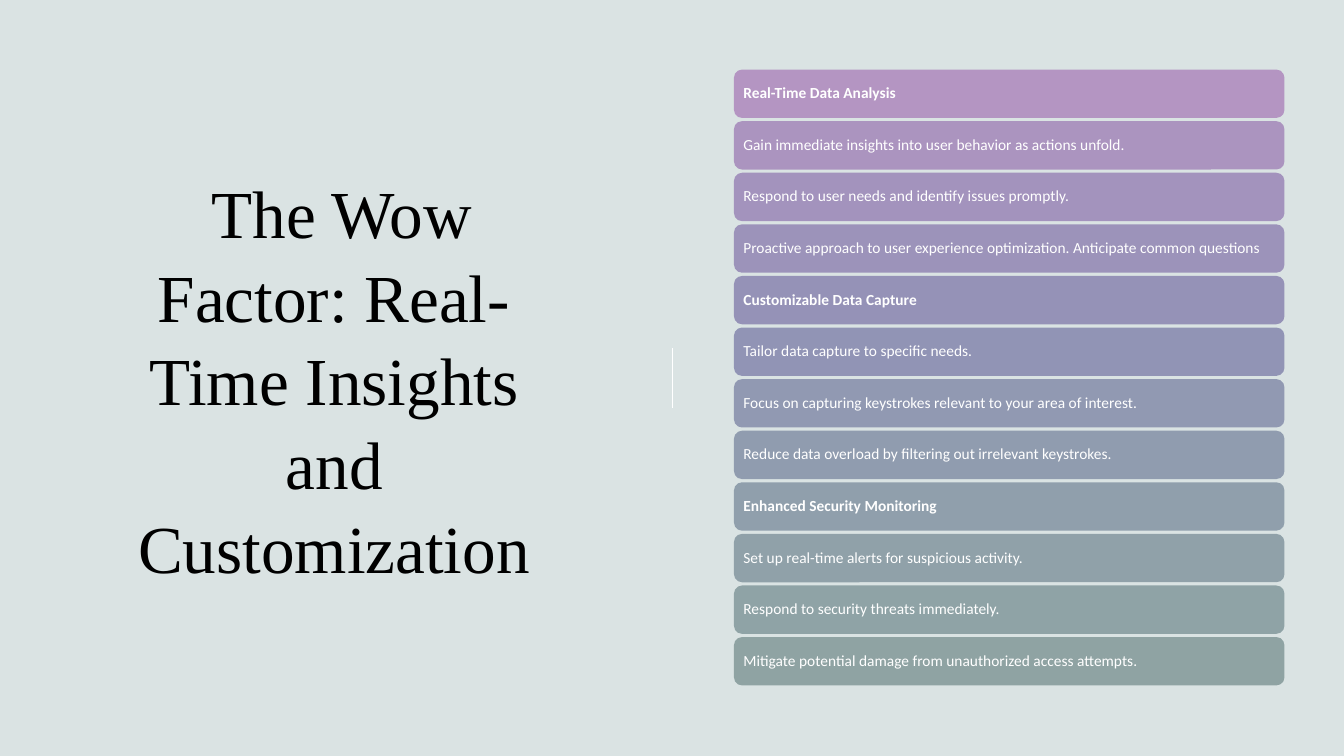
from dataclasses import dataclass

from lxml.etree import SubElement
from pptx import Presentation
from pptx.dml.color import RGBColor
from pptx.enum.shapes import MSO_CONNECTOR, MSO_SHAPE
from pptx.enum.text import MSO_ANCHOR, PP_ALIGN
from pptx.oxml.ns import qn
from pptx.util import Inches, Pt


@dataclass(frozen=True)
class Theme:
    background: str = "DAE3E3"
    title_color: str = "000000"
    light: str = "FFFFFF"
    title_font: str = "Times New Roman"
    body_font: str = "Calibri"
    title_size: int = 48
    body_size: int = 11


def write(frame, text, *, font, size, color, bold=False, align=PP_ALIGN.LEFT,
          spacing=1.0, inset_x=0.1, inset_y=0.05):
    frame.word_wrap = True
    frame.vertical_anchor = MSO_ANCHOR.MIDDLE
    frame.margin_left = frame.margin_right = Inches(inset_x)
    frame.margin_top = frame.margin_bottom = Inches(inset_y)
    paragraph = frame.paragraphs[0]
    paragraph.alignment = align
    paragraph.line_spacing = spacing
    run = paragraph.add_run()
    run.text = text
    run.font.name = font
    run.font.size = Pt(size)
    run.font.bold = bold
    run.font.color.rgb = RGBColor.from_string(color)


class SlideBuilder:
    def __init__(self, slide, theme):
        self.slide = slide
        self.theme = theme

    def background(self):
        fill = self.slide.background.fill
        fill.solid()
        fill.fore_color.rgb = RGBColor.from_string(self.theme.background)

    def panel(self, kind, left, top, width, height, color):
        panel = self.slide.shapes.add_shape(
            kind, Inches(left), Inches(top), Inches(width), Inches(height))
        panel.shadow.inherit = False
        panel.fill.solid()
        panel.fill.fore_color.rgb = RGBColor.from_string(color)
        panel.line.fill.background()
        return panel

    def title(self, text, left, top, width, height):
        title = self.slide.shapes.add_textbox(
            Inches(left), Inches(top), Inches(width), Inches(height))
        write(title.text_frame, text, font=self.theme.title_font,
              size=self.theme.title_size, color=self.theme.title_color,
              align=PP_ALIGN.CENTER, spacing=1.04)

    def divider(self, x, top, bottom):
        divider = self.slide.shapes.add_connector(
            MSO_CONNECTOR.STRAIGHT, Inches(x), Inches(top), Inches(x), Inches(bottom))
        divider.line.color.rgb = RGBColor.from_string(self.theme.light)
        divider.line.width = Pt(1)
        SubElement(divider._element.spPr, qn("a:effectLst"))

    def bar(self, text, top, color, heading):
        bar = self.panel(MSO_SHAPE.ROUNDED_RECTANGLE, 7.28, top, 5.46, 0.48, color)
        write(bar.text_frame, text, font=self.theme.body_font,
              size=self.theme.body_size, color=self.theme.light, bold=heading,
              spacing=0.9, inset_x=0.07, inset_y=0.07)


BENEFITS = [
    ("Real-Time Data Analysis", "B495C2"),
    ("Gain immediate insights into user behavior as actions unfold.", "AB94BF"),
    ("Respond to user needs and identify issues promptly.", "A393BD"),
    ("Proactive approach to user experience optimization. Anticipate common questions",
     "9C93BA"),
    ("Customizable Data Capture", "9592B7"),
    ("Tailor data capture to specific needs.", "9194B5"),
    ("Focus on capturing keystrokes relevant to your area of interest.", "9199B2"),
    ("Reduce data overload by filtering out irrelevant keystrokes.", "909CAF"),
    ("Enhanced Security Monitoring", "909FAC"),
    ("Set up real-time alerts for suspicious activity.", "90A1A9"),
    ("Respond to security threats immediately.", "8FA3A6"),
    ("Mitigate potential damage from unauthorized access attempts.", "8FA3A3"),
]
SECTION_LENGTH = 4
FIRST_TOP, LAST_TOP = 0.69, 6.32


def main():
    deck = Presentation()
    deck.slide_width, deck.slide_height = Inches(13.33), Inches(7.5)
    theme = Theme()
    builder = SlideBuilder(deck.slides.add_slide(deck.slide_layouts[6]), theme)
    builder.background()
    builder.panel(MSO_SHAPE.RECTANGLE, 0, 0, 13.33, 7.5, theme.background)
    builder.title(" The Wow Factor: Real-Time Insights and Customization",
                  1.18, 1.18, 4.27, 5.13)
    builder.divider(6.67, 3.45, 4.05)
    pitch = (LAST_TOP - FIRST_TOP) / (len(BENEFITS) - 1)
    for index, (benefit, color) in enumerate(BENEFITS):
        builder.bar(benefit, FIRST_TOP + index * pitch, color,
                    heading=index % SECTION_LENGTH == 0)
    deck.save("out.pptx")


if __name__ == "__main__":
    main()
